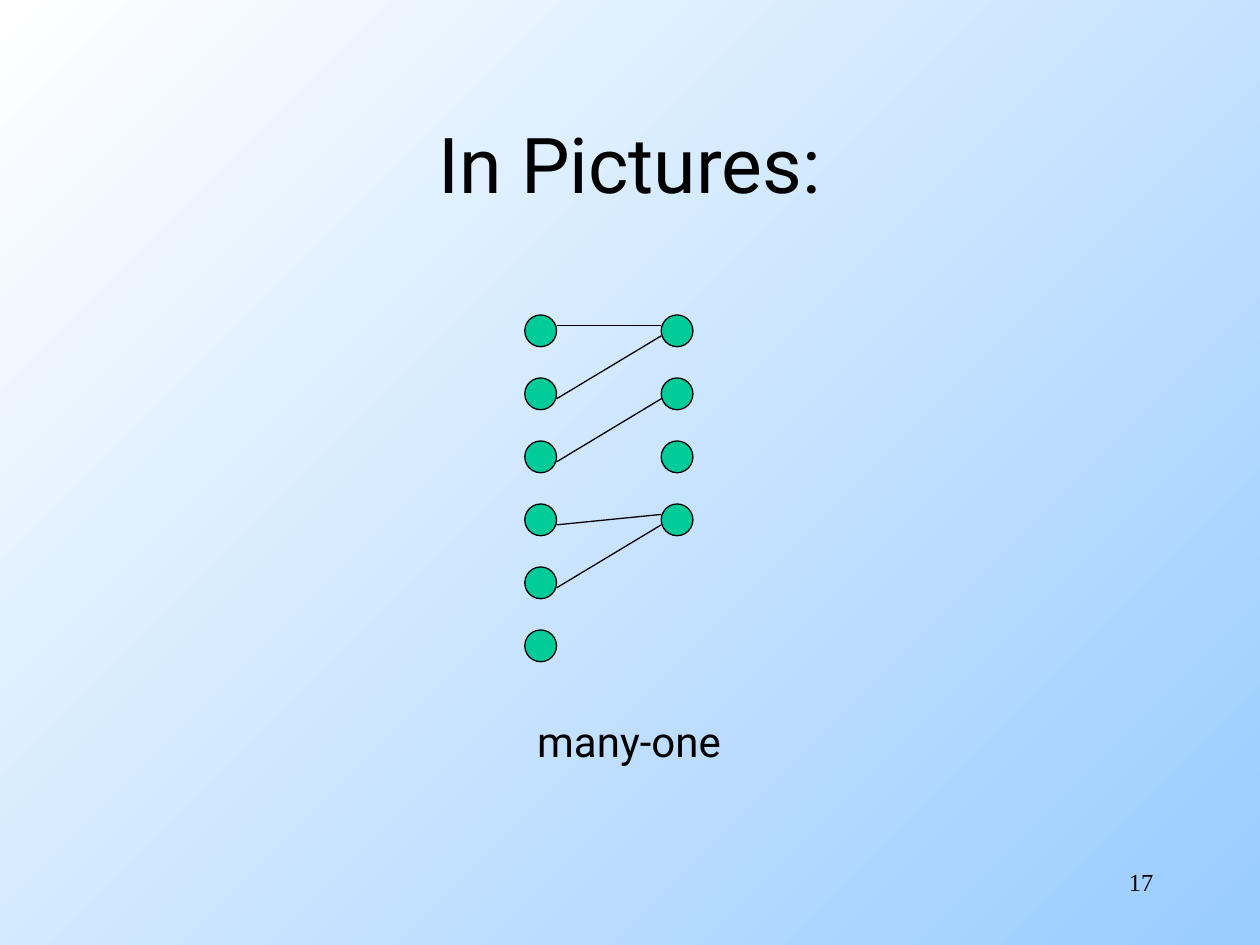
from lxml import etree
from pptx import Presentation
from pptx import util as u
from pptx.dml.color import RGBColor
from pptx.enum import shapes, text
from pptx.oxml import ns

COLOURS = {"sky": "99CCFF", "white": "FFFFFF", "dot": "00CC99", "ink": "000000"}
DOT = 0.64
ROW_PITCH = 1.27
UPPER, LOWER = 0.21, 0.42
DOMAIN_COUNT, RANGE_COUNT = 6, 4
LINKS = [
    (0, UPPER, 0, UPPER),
    (1, LOWER, 0, LOWER),
    (2, LOWER, 1, LOWER),
    (3, LOWER, 3, UPPER),
    (4, LOWER, 3, LOWER),
]


def colour(key):
    return RGBColor.from_string(COLOURS[key])


def paint_background(slide):
    fill = slide.background.fill
    fill.gradient()
    fill.gradient_angle = 135
    for stop, key in zip(fill.gradient_stops, ("sky", "white")):
        stop.color.rgb = colour(key)


def add_label(slide, box, words, size, font, align, anchor=text.MSO_ANCHOR.TOP):
    label = slide.shapes.add_textbox(*map(u.Cm, box))
    frame = label.text_frame
    frame.word_wrap = True
    frame.vertical_anchor = anchor
    frame.text = words
    paragraph = frame.paragraphs[0]
    paragraph.alignment = align
    run = paragraph.runs[0]
    run.font.size = u.Pt(size)
    run.font.name = font
    run.font.color.rgb = colour("ink")


def add_dot(slide, left, top):
    dot = slide.shapes.add_shape(
        shapes.MSO_SHAPE.OVAL, u.Cm(left), u.Cm(top), u.Cm(DOT), u.Cm(DOT)
    )
    dot.shadow.inherit = False
    dot.fill.solid()
    dot.fill.fore_color.rgb = colour("dot")
    dot.line.color.rgb = colour("ink")
    dot.line.width = u.Pt(0.75)


def add_link(slide, start_x, start_y, end_x, end_y):
    link = slide.shapes.add_connector(
        shapes.MSO_CONNECTOR.STRAIGHT, *map(u.Cm, (start_x, start_y, end_x, end_y))
    )
    link.line.color.rgb = colour("ink")
    link.line.width = u.Pt(0.75)
    etree.SubElement(link._element.spPr, ns.qn("a:effectLst"))


def add_mapping(slide, left, top, width):
    range_left = left + width - DOT
    for column_left, count in ((left, DOMAIN_COUNT), (range_left, RANGE_COUNT)):
        for row in range(count):
            add_dot(slide, column_left, top + row * ROW_PITCH)
    for source, source_drop, target, target_drop in LINKS:
        add_link(
            slide,
            left + DOT,
            top + source * ROW_PITCH + source_drop,
            range_left,
            top + target * ROW_PITCH + target_drop,
        )


def main():
    deck = Presentation()
    deck.slide_width, deck.slide_height = u.Cm(25.4), u.Cm(19.05)
    slide = deck.slides.add_slide(deck.slide_layouts[6])
    paint_background(slide)
    add_label(slide, (18.2, 17.36, 5.3, 1.27), "17", 14, "Times New Roman",
              text.PP_ALIGN.RIGHT)
    add_label(slide, (1.9, 1.7, 21.6, 3.18), "In Pictures:", 44, "Roboto",
              text.PP_ALIGN.CENTER, text.MSO_ANCHOR.MIDDLE)
    add_mapping(slide, 10.58, 6.35, 3.39)
    add_label(slide, (10.58, 14.29, 4.5, 1.27), "many-one", 24, "Roboto",
              text.PP_ALIGN.LEFT)
    deck.save("out.pptx")


if __name__ == "__main__":
    main()
